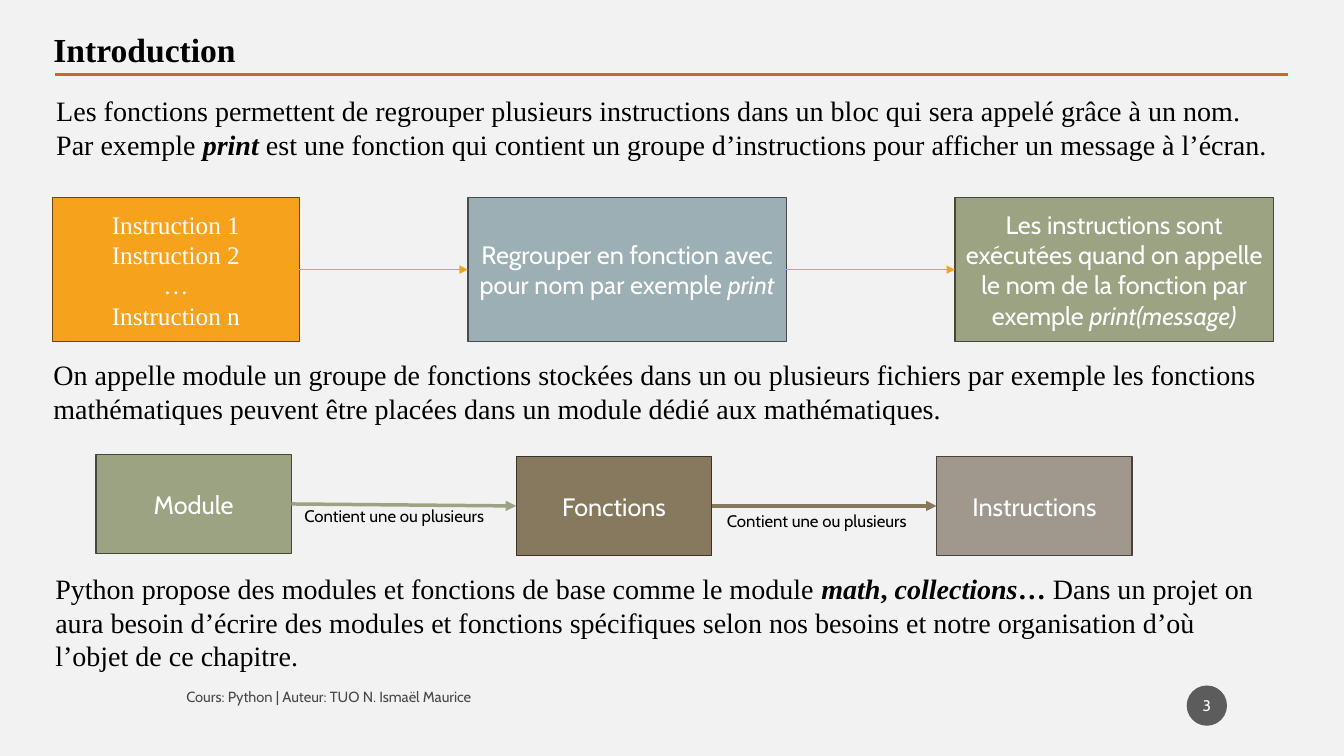
from dataclasses import dataclass
from lxml.etree import SubElement as Sub
from pptx import Presentation
from pptx.dml.color import RGBColor as RGB
from pptx.enum.shapes import MSO_CONNECTOR as CONN, MSO_SHAPE as SHAPE
from pptx.enum.text import MSO_ANCHOR as ANCHOR, PP_ALIGN as ALIGN
from pptx.oxml.ns import qn
from pptx.util import Inches, Pt


@dataclass(frozen=True)
class Theme:
    serif: str = "Times New Roman"
    sans: str = "Cabin"
    title: float = 24
    body: float = 20
    block: float = 18
    label: float = 12
    page: float = 11
    footer: float = 10.5
    paper: str = "F2F2F2"
    ink: str = "000000"
    white: str = "FFFFFF"
    badge: str = "1D1D1D"
    rule: str = "C96731"
    # Block colours: fill, outline
    orange: tuple = ("F6A21D", "6C470D")
    blue: tuple = ("9BAFB5", "444D4F")
    green: tuple = ("9CA383", "444739")
    brown: tuple = ("87795D", "3B3529")
    taupe: tuple = ("A0988C", "46433D")


T = Theme()
prs = Presentation()
prs.slide_width, prs.slide_height = Inches(13.33), Inches(7.5)
PAGE = (0, 0, prs.slide_width, prs.slide_height)


def part(box, x, y, w, h):
    """Turn percentages of a box into a position and size."""
    left, top, width, height = box
    return (int(left + width * x / 100), int(top + height * y / 100),
            int(width * w / 100), int(height * h / 100))


def set_alpha(el, percent):
    for clr in el.iter(qn("a:srgbClr")):
        Sub(clr, qn("a:alpha")).set("val", str(percent * 1000))


def write(sp, paragraphs, font, size, color, align=ALIGN.LEFT, anchor=ANCHOR.TOP):
    """Each paragraph is a string or a list of (text, style) with style from b and i."""
    tf = sp.text_frame
    tf.word_wrap = True
    tf.vertical_anchor = anchor
    for n, content in enumerate(paragraphs):
        p = tf.add_paragraph() if n else tf.paragraphs[0]
        p.alignment = align
        for text, style in [(content, "")] if isinstance(content, str) else content:
            r = p.add_run()
            r.text = text
            r.font.name, r.font.size = font, Pt(size)
            r.font.bold, r.font.italic = "b" in style, "i" in style
            r.font.color.rgb = RGB.from_string(color)
    return tf


def text(s, pos, paragraphs, font, size):
    sp = s.shapes.add_textbox(*pos)
    return write(sp, paragraphs, font, size, T.ink)


def block(s, pos, paragraphs, colors, font=T.sans):
    sp = s.shapes.add_shape(SHAPE.RECTANGLE, *pos)
    sp.shadow.inherit = False
    sp.fill.solid()
    sp.fill.fore_color.rgb = RGB.from_string(colors[0])
    sp.line.color.rgb = RGB.from_string(colors[1])
    sp.line.width = Pt(1)
    write(sp, paragraphs, font, T.block, T.white, ALIGN.CENTER, ANCHOR.MIDDLE)
    return sp


def line(s, start, end, color, width):
    ln = s.shapes.add_connector(CONN.STRAIGHT, *start, *end)
    ln.line.color.rgb = RGB.from_string(color)
    ln.line.width = Pt(width)
    Sub(ln._element.spPr, qn("a:effectLst"))
    return ln


def arrow(s, a, b, color, width):
    """Join the right side of one block to the left side of the next."""
    ln = line(s, (0, 0), (0, 0), color, width)
    ln.begin_connect(a, 3)
    ln.end_connect(b, 1)
    Sub(ln.line._get_or_add_ln(), qn("a:tailEnd")).set("type", "triangle")


def header(s, box, title):
    text(s, part(box, 0, 0, 27.23, 100), [[(title, "b")]], T.serif, T.title)
    x, y, w, _ = part(box, 0.97, 100, 99.03, 0)
    line(s, (x, y), (x + w, y), T.rule, 2.5)


def body(s, box, runs):
    text(s, box, [runs], T.serif, T.body)


def call_chain(s, box):
    steps = [
        (0, 20.23, ["Instruction 1", "Instruction 2", "…", "Instruction n"],
         T.orange, T.serif),
        (34.02, 26.09, [[("Regrouper en fonction avec pour nom par exemple ", ""),
                         ("print", "i")]], T.blue, T.sans),
        (73.91, 26.09, [[("Les instructions sont exécutées quand on appelle le nom "
                          "de la fonction par exemple ", ""),
                         ("print(message)", "i")]], T.green, T.sans),
    ]
    blocks = [block(s, part(box, x, 0, w, 100), paragraphs, colors, font)
              for x, w, paragraphs, colors, font in steps]
    for a, b in zip(blocks, blocks[1:]):
        arrow(s, a, b, T.orange[0], 0.5)


def module_chain(s, box):
    levels = [("Module", T.green, 0), ("Fonctions", T.brown, 2),
              ("Instructions", T.taupe, 2)]
    blocks = [block(s, part(box, 40.56 * n, y, 18.87, 98), [name], colors)
              for n, (name, colors, y) in enumerate(levels)]
    for a, b, level in zip(blocks, blocks[1:], levels):
        arrow(s, a, b, level[1][0], 2.5)
    for x, y in [(19.16, 46), (59.92, 51)]:
        text(s, part(box, x, y, 19.84, 30), ["Contient une ou plusieurs"],
             T.sans, T.label)


def footer(s, box, credit, number):
    tf = text(s, part(box, 0, 5, 61.9, 87.5), [credit], T.sans, T.footer)
    tf.margin_top = 0
    set_alpha(tf._txBody, 70)
    # Page number badge
    sp = s.shapes.add_shape(SHAPE.OVAL, *part(box, 96.16, 0, 3.84, 100))
    sp.shadow.inherit = False
    sp.fill.solid()
    sp.fill.fore_color.rgb = RGB.from_string(T.badge)
    set_alpha(sp._element.spPr, 70)
    sp.line.fill.background()
    tf = write(sp, [number], T.sans, T.page, T.white, ALIGN.CENTER, ANCHOR.MIDDLE)
    tf.margin_left = tf.margin_right = Inches(0.02)


def introduction(s, box):
    header(s, part(box, 3.23, 3.2, 92.57, 6.67), "Introduction")
    body(s, part(box, 3.45, 11.73, 91.67, 10.27), [
        ("Les fonctions permettent de regrouper plusieurs instructions dans un bloc "
         "qui sera appelé grâce à un nom. Par exemple ", ""),
        ("print", "bi"),
        (" est une fonction qui contient un groupe d’instructions pour afficher "
         "un message à l’écran.", "")])
    call_chain(s, part(box, 3.9, 26.13, 90.85, 19.07))
    body(s, part(box, 3.23, 46.67, 91.67, 10.27), [
        ("On appelle module un groupe de fonctions stockées dans un ou plusieurs "
         "fichiers par exemple les fonctions mathématiques peuvent être placées "
         "dans un module dédié aux mathématiques.", "")])
    module_chain(s, part(box, 7.13, 60.13, 77.12, 13.33))
    body(s, part(box, 3.38, 74.93, 91.67, 14.8), [
        ("Python propose des modules et fonctions de base comme le module ", ""),
        ("math", "bi"), (", ", "b"), ("collections", "bi"), ("…", "b"),
        (" Dans un projet on aura besoin d’écrire des modules et fonctions "
         "spécifiques selon nos besoins et notre organisation d’où l’objet de ce "
         "chapitre.", "")])
    footer(s, part(box, 13.13, 90.67, 78.17, 5.33),
           "Cours: Python | Auteur: TUO N. Ismaël Maurice", "3")


s = prs.slides.add_slide(prs.slide_layouts[6])
s.background.fill.solid()
s.background.fill.fore_color.rgb = RGB.from_string(T.paper)
introduction(s, PAGE)
prs.save("out.pptx")
